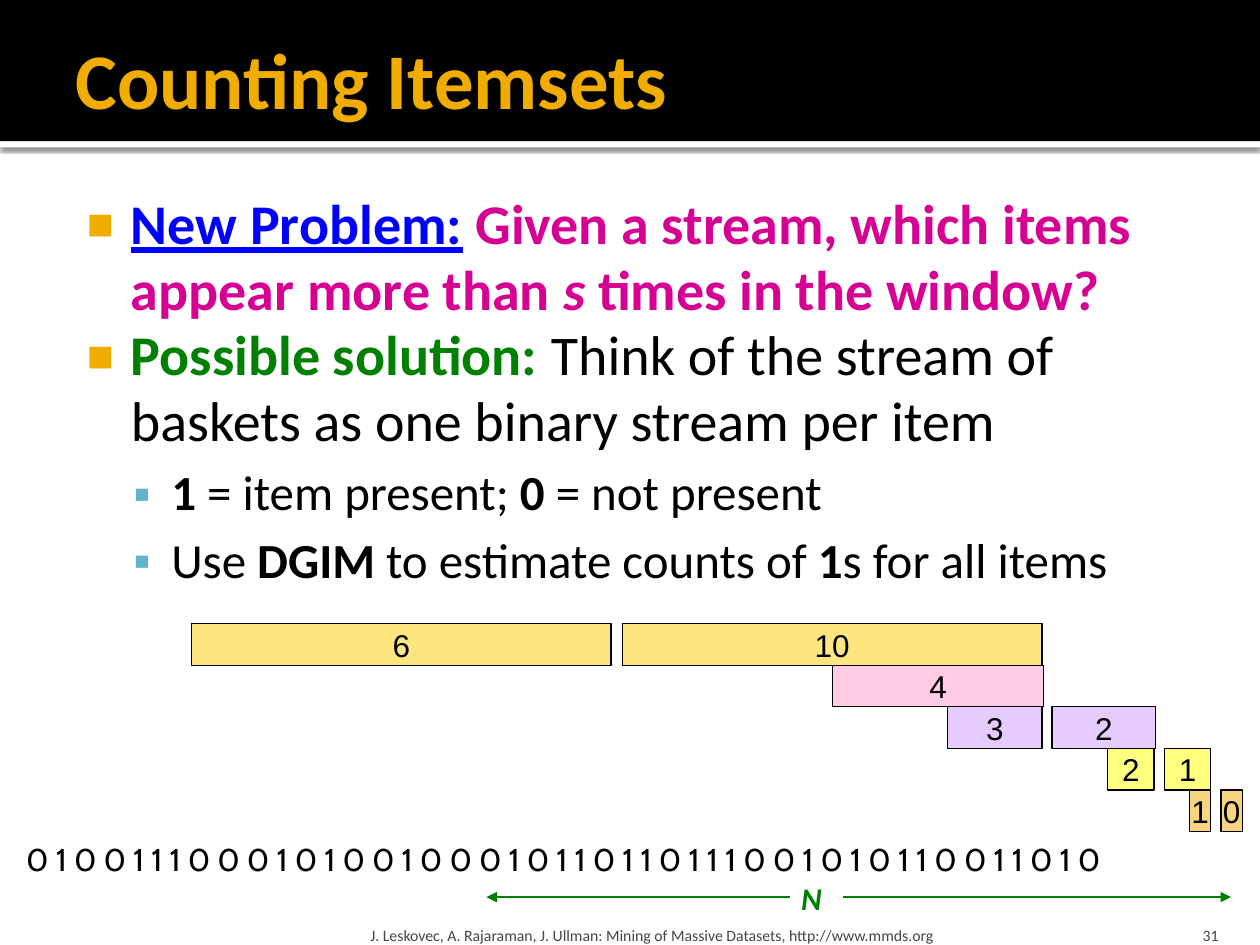
from lxml.etree import SubElement
from pptx import Presentation
from pptx.dml.color import RGBColor
from pptx.enum.shapes import MSO_CONNECTOR as Connector, MSO_SHAPE as Shape
from pptx.enum.text import MSO_ANCHOR as Anchor, PP_ALIGN as Align
from pptx.oxml.ns import qn
from pptx.util import Inches, Pt

BLACK = RGBColor(0x00, 0x00, 0x00)
WHITE = RGBColor(0xFF, 0xFF, 0xFF)
GRAY = RGBColor(0x45, 0x45, 0x45)
AMBER = RGBColor(0xF0, 0xAD, 0x00)
SKY = RGBColor(0x60, 0xB5, 0xCC)
BLUE = RGBColor(0x00, 0x00, 0xFF)
MAGENTA = RGBColor(0xD6, 0x00, 0x93)
GREEN = RGBColor(0x00, 0x80, 0x00)
GOLD = RGBColor(0xFF, 0xCC, 0x00)
PINK = RGBColor(0xFF, 0x99, 0xCC)
LILAC = RGBColor(0xCC, 0x99, 0xFF)
YELLOW = RGBColor(0xFF, 0xFF, 0x00)

BULLETS = [
    (0, [("New Problem:", BLUE, "bu"), (" ", BLUE, "b"),
         ("Given a stream, which items appear more than ", MAGENTA, "b"),
         ("s", MAGENTA, "bi"), (" times in the window?", MAGENTA, "b")]),
    (0, [("Possible solution: ", GREEN, "b"),
         ("Think of the stream of baskets as one binary stream per item", BLACK, "")]),
    (1, [("1", BLACK, "b"), (" = item present; ", BLACK, ""),
         ("0 ", BLACK, "b"), ("= not present", BLACK, "")]),
    (1, [("Use ", BLACK, ""), ("DGIM", BLACK, "b"),
         (" to estimate counts of ", BLACK, ""), ("1", BLACK, "b"),
         ("s for all items", BLACK, "")]),
]
LEVELS = [(32, 0.48, -0.35, 0, "■", AMBER, 80), (28, 0.8, -0.3, 5.6, "▪", SKY, 100)]
BUCKET_ROWS = [
    (GOLD, [("6", 1.52, 3.33), ("10", 4.94, 3.33)]),
    (PINK, [("4", 6.61, 1.67)]),
    (LILAC, [("3", 7.52, 0.75), ("2", 8.35, 0.82)]),
    (YELLOW, [("2", 8.79, 0.37), ("1", 9.24, 0.37)]),
    (AMBER, [("1", 9.44, 0.17), ("0", 9.69, 0.17)]),
]
STREAM = "010011100010100100010110110111001010110011010"


def style(span, size, color, name="Calibri", marks=""):
    """Format one run; marks holds b, i and u flags."""
    font = span.font
    font.size, font.name, font.color.rgb = Pt(size), name, color
    font.bold, font.italic, font.underline = ("b" in marks, "i" in marks, "u" in marks)


def set_margins(frame, left, top, right, bottom):
    """Set the four insets of a text frame in inches."""
    frame.margin_left, frame.margin_top = Inches(left), Inches(top)
    frame.margin_right, frame.margin_bottom = Inches(right), Inches(bottom)


def add_label(page, box, text, size, color, name="Calibri", marks="", wrap=True):
    """Add a one-line text box and return its frame."""
    frame = page.shapes.add_textbox(*map(Inches, box)).text_frame
    frame.word_wrap = wrap
    frame.text = text
    style(frame.paragraphs[0].runs[0], size, color, name, marks)
    return frame


def add_rectangle(page, box, color):
    """Add a plain filled rectangle without shadow or line."""
    shape = page.shapes.add_shape(Shape.RECTANGLE, *map(Inches, box))
    shape.shadow.inherit = False
    shape.fill.solid()
    shape.fill.fore_color.rgb = color
    shape.line.fill.background()
    return shape


def add_header(page, box):
    """Place the black band, its shadowed white edge and the title."""
    left, top, width, height = box
    edge = add_rectangle(page, (left, top + height, width, 0.05), WHITE)
    effects = edge.element.spPr.find(qn("a:effectLst"))
    shadow = SubElement(effects, qn("a:outerShdw"), blurRad=str(Pt(2.5)),
                        dist=str(Pt(0.8)), dir="5400000", rotWithShape="0")
    tint = SubElement(shadow, qn("a:srgbClr"), val=str(BLACK))
    SubElement(tint, qn("a:alpha"), val="60000")
    band = add_rectangle(page, box, BLACK)
    title = page.shapes.title
    for part in (edge, band):
        title.element.addprevious(part.element)
    title.left, title.top = Inches(left + 0.5), Inches(top + 0.08)
    title.width, title.height = Inches(width - 1), Inches(1.08)
    frame = title.text_frame
    frame.text = "Counting Itemsets"
    frame.vertical_anchor = Anchor.MIDDLE
    set_margins(frame, 0.1, 0.05, 0.05, 0.05)
    para = frame.paragraphs[0]
    para.alignment = Align.LEFT
    style(para.runs[0], 45, AMBER, marks="b")


def add_bullets(page, box):
    """Place the two-level bulleted text."""
    frame = page.shapes.add_textbox(*map(Inches, box)).text_frame
    frame.word_wrap = True
    set_margins(frame, 0.06, 0.1, 0.1, 0.05)
    for index, (level, spans) in enumerate(BULLETS):
        size, margin, indent, before, mark, color, scale = LEVELS[level]
        para = frame.paragraphs[0] if index == 0 else frame.add_paragraph()
        para.level = level
        para.line_spacing = 0.98
        para.space_before = Pt(before)
        props = para._p.get_or_add_pPr()
        props.set("marL", str(Inches(margin)))
        props.set("indent", str(Inches(indent)))
        SubElement(SubElement(props, qn("a:buClr")), qn("a:srgbClr"), val=str(color))
        SubElement(props, qn("a:buSzPct"), val=str(scale * 1000))
        SubElement(props, qn("a:buFont"), typeface="Arial")
        SubElement(props, qn("a:buChar"), char=mark)
        for text, tint, marks in spans:
            span = para.add_run()
            span.text = text
            style(span, size, tint, marks=marks)


def add_buckets(page, top, height):
    """Stack the rows of half-transparent buckets."""
    for row, (color, buckets) in enumerate(BUCKET_ROWS):
        for text, left, width in buckets:
            bucket = add_rectangle(page, (left, top + row * height, width, height), color)
            tint = bucket.element.spPr.find(qn("a:solidFill"))[0]
            SubElement(tint, qn("a:alpha"), val="50000")
            bucket.line.color.rgb = BLACK
            bucket.line.width = Pt(0.75)
            frame = bucket.text_frame
            frame.text = text
            frame.word_wrap = False
            frame.vertical_anchor = Anchor.MIDDLE
            frame.paragraphs[0].alignment = Align.CENTER
            style(frame.paragraphs[0].runs[0], 18, BLACK, "Arial")


def add_window(page, box):
    """Place the bit stream and the arrows that span its window."""
    left, top, width, height = box
    add_label(page, box, " ".join(STREAM), 18, BLACK, "Cabin")
    add_label(page, (left + 6.15, top + 0.31, 0.38, height), "N", 18, GREEN,
              marks="bi", wrap=False)
    level = Inches(top + 0.5)
    for start, end in ((6.27, 3.86), (6.69, 9.77)):
        arrow = page.shapes.add_connector(
            Connector.STRAIGHT, Inches(start), level, Inches(end), level)
        arrow.line.color.rgb = GREEN
        arrow.line.width = Pt(0.75)
        SubElement(arrow.line._get_or_add_ln(), qn("a:tailEnd"), type="triangle")
        SubElement(arrow._element.spPr, qn("a:effectLst"))


def add_footer(page, top, height):
    """Place the source line and the page number."""
    source = ("J. Leskovec, A. Rajaraman, J. Ullman: "
              "Mining of Massive Datasets, http://www.mmds.org")
    for text, left, width, inset, align in ((source, 2.89, 6.02, 0.05, Align.LEFT),
                                            ("31", 8.97, 0.8, 0.1, Align.RIGHT)):
        frame = add_label(page, (left, top, width, height), text, 9, GRAY)
        frame.vertical_anchor = Anchor.BOTTOM
        set_margins(frame, inset, 0.05, inset, 0)
        frame.paragraphs[0].alignment = align


def main():
    """Build the slide and save the deck."""
    deck = Presentation()
    deck.slide_width, deck.slide_height = Inches(10), Inches(7.5)
    page = deck.slides.add_slide(deck.slide_layouts[5])
    add_header(page, (0, 0, 10, 1.12))
    add_bullets(page, (0.5, 1.42, 9, 5.75))
    add_footer(page, 7.2, 0.3)
    add_window(page, (0.11, 6.62, 9.81, 0.4))
    add_buckets(page, 4.95, 0.33)
    deck.save("out.pptx")


if __name__ == "__main__":
    main()
